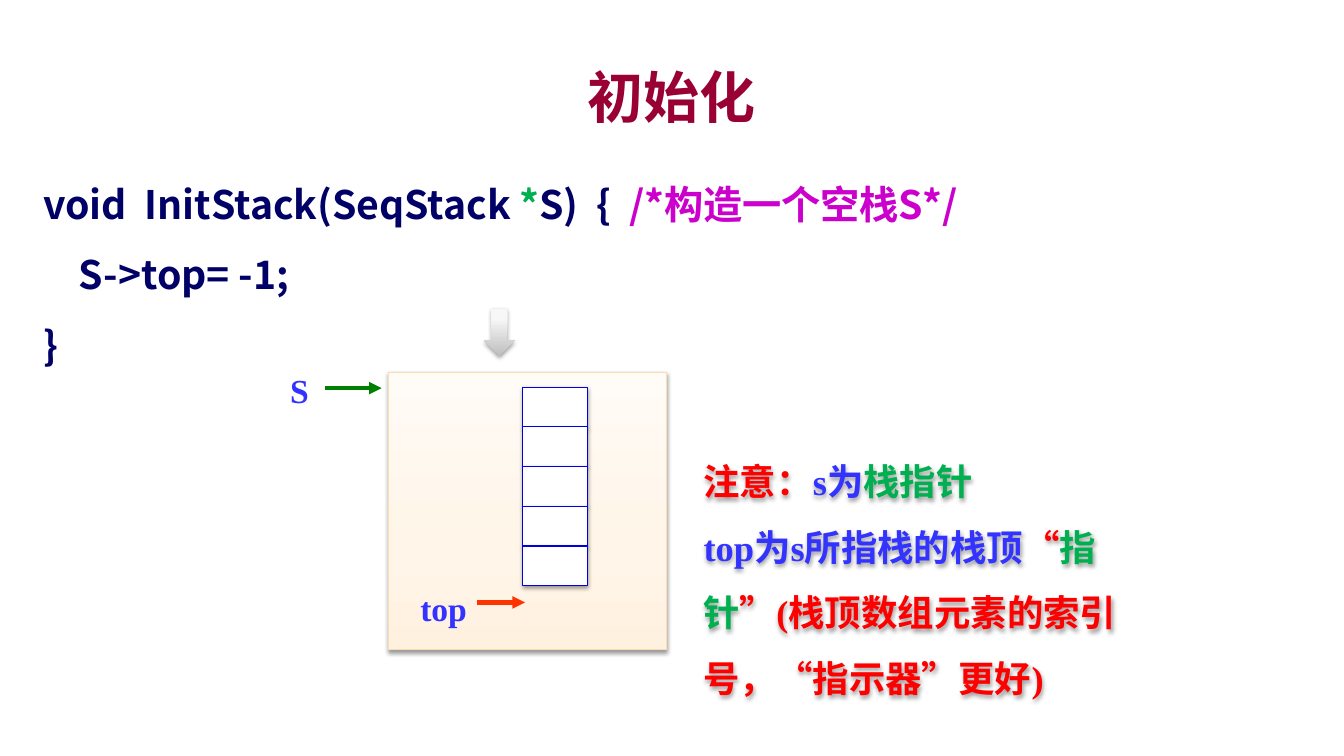
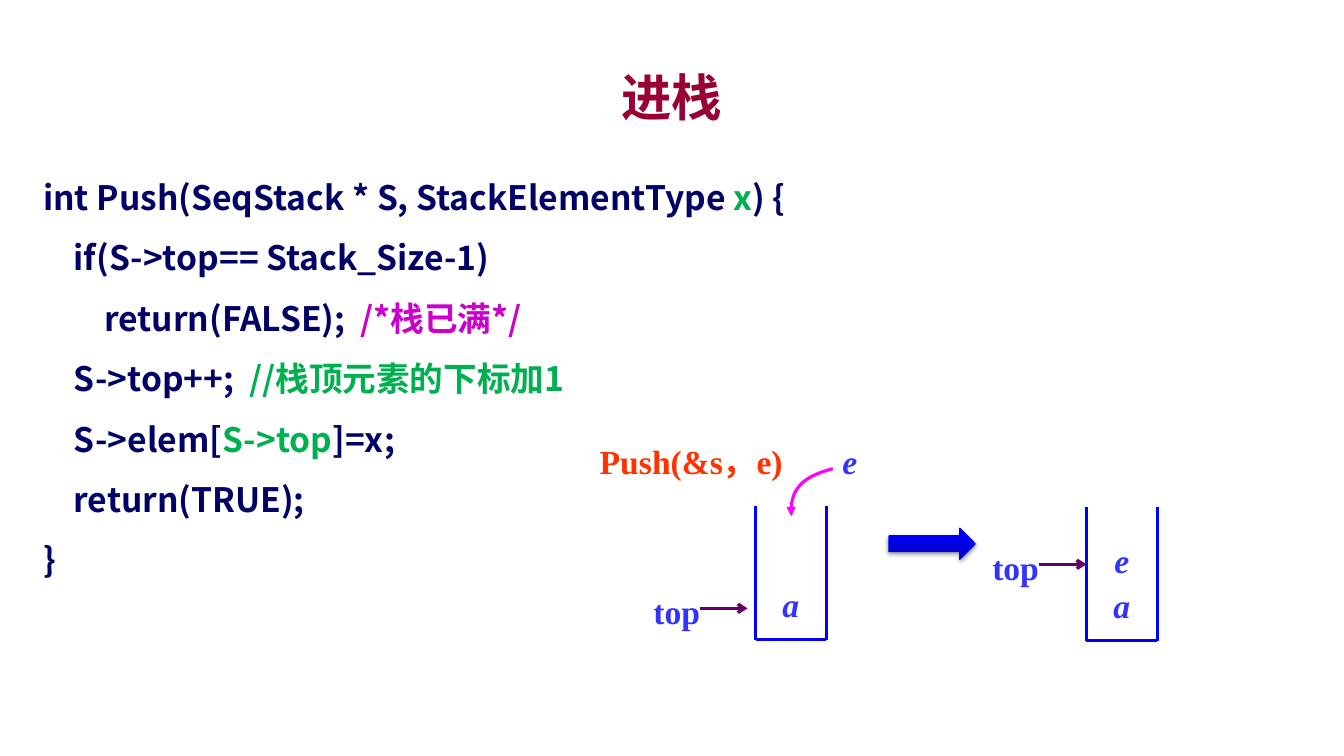
from pptx import Presentation
from pptx.dml.color import RGBColor
from pptx.enum import shapes, text
from pptx.oxml import parse_xml
from pptx.oxml.ns import nsdecls, qn
from pptx.util import Cm, Pt

COLORS = {
    "title": "990033", "code": "000066", "accent": "00B050", "comment": "CC00CC",
    "label": "3333FF", "warning": "FF0000", "call": "FF3300", "pointer": "008000",
    "cell": "FFFFFF", "cell_edge": "0000E7", "frame_edge": "FBDDB2",
    "jar": "0000FF", "index": "660066", "curve": "FF00FF", "next_edge": "0000F9",
}
GRADIENTS = {
    "frame": [(0, "FFF1DF"), (35, "FFF5E8"), (100, "FFFBF6")],
    "grey": [(0, "BEBEBE"), (80, "F7F7F7"), (100, "F8F8F8")],
    "blue": [(0, "0000BE"), (80, "0000F7"), (100, "0000F8")],
}
SANS, SERIF = "Noto Sans CJK SC", "Times New Roman"
LEFT, CENTER, JUSTIFY = (
    text.PP_ALIGN.LEFT, text.PP_ALIGN.CENTER, text.PP_ALIGN.JUSTIFY)
SHAPE = shapes.MSO_SHAPE


def color(name):
    """Return a named colour."""
    return RGBColor.from_string(COLORS[name])


def add_shadow(shape):
    """Give a shape a soft shadow below it."""
    shape.shadow.inherit = False
    shape._element.spPr.find(qn("a:effectLst")).append(parse_xml(
        f'<a:outerShdw {nsdecls("a")} blurRad="40000" dist="20000" dir="5400000" '
        'rotWithShape="0"><a:srgbClr val="000000"><a:alpha val="38000"/>'
        '</a:srgbClr></a:outerShdw>'))


def add_text(page, box, lines, size, font=SERIF, align=CENTER, spacing=1.0,
             inset=(0, 0), anchor=text.MSO_ANCHOR.TOP, italic=False):
    """Write lines, each a list of (words, colour) spans, in a box."""
    shape = page.shapes.add_textbox(*map(Cm, box))
    frame = shape.text_frame
    frame.word_wrap = True
    frame.vertical_anchor = anchor
    frame.margin_left = frame.margin_right = Cm(inset[0])
    frame.margin_top = frame.margin_bottom = Cm(inset[1])
    for number, spans in enumerate(lines):
        para = frame.add_paragraph() if number else frame.paragraphs[0]
        para.alignment = align
        para.line_spacing = spacing
        para.font.name, para.font.size = font, Pt(size)
        para.font.bold, para.font.italic = True, italic
        para._p.pPr.find(qn("a:defRPr")).append(
            parse_xml(f'<a:ea {nsdecls("a")} typeface="{SANS}"/>'))
        for words, name in spans:
            span = para.add_run()
            span.text = words
            span.font.color.rgb = color(name)
    return shape


def add_label(page, box, words, name="label", italic=False):
    """Write one centred label."""
    return add_text(page, box, [[(words, name)]], 24, italic=italic)


def style_line(shape, name, width, head=None):
    """Set colour, width and arrowhead of a line."""
    shape.line.color.rgb = color(name)
    shape.line.width = Pt(width)
    if head:
        shape._element.spPr.find(qn("a:ln")).append(
            parse_xml(f'<a:tailEnd {nsdecls("a")} type="{head}"/>'))


def add_line(page, start, end, name, width, head=None):
    """Draw a straight line, with an arrowhead if one is named."""
    line = page.shapes.add_connector(
        shapes.MSO_CONNECTOR.STRAIGHT, *map(Cm, (*start, *end)))
    style_line(line, name, width, head)
    line._element.spPr.append(parse_xml(f'<a:effectLst {nsdecls("a")}/>'))


def add_block(page, kind, box, gradient=None, edge=None):
    """Draw a shadowed shape, filled white or with a gradient."""
    shape = page.shapes.add_shape(kind, *map(Cm, box))
    if gradient:
        stops = "".join(
            f'<a:gs pos="{place * 1000}"><a:srgbClr val="{value}"/></a:gs>'
            for place, value in GRADIENTS[gradient])
        shape._element.spPr.find(qn("a:prstGeom")).addnext(parse_xml(
            f'<a:gradFill {nsdecls("a")} rotWithShape="1"><a:gsLst>{stops}</a:gsLst>'
            '<a:lin ang="16200000" scaled="0"/></a:gradFill>'))
    else:
        shape.fill.solid()
        shape.fill.fore_color.rgb = color("cell")
    if edge:
        style_line(shape, edge, 0.75)
    else:
        shape.line.fill.background()
    add_shadow(shape)


def add_page(deck, title, title_size, code, code_size):
    """Add a page with its title and code listing."""
    page = deck.slides.add_slide(deck.slide_layouts[6])
    inset = (0.25, 0.13)
    add_text(page, (2.54, 1.47, 28.78, 1.9), [[(title, "title")]], title_size, SANS,
             inset=inset, anchor=text.MSO_ANCHOR.MIDDLE)
    add_text(page, (0.84, 3.81, 32.18, 10.8), code, code_size, SANS, JUSTIFY, 1.5, inset)
    return page


def draw_stack(page, left, top, side):
    """Draw the stack record with its cells and pointers."""
    add_block(page, SHAPE.RECTANGLE, (left, top, side, side), "frame", "frame_edge")
    add_line(page, (left - 1.6, top + 0.4), (left - 0.18, top + 0.4),
             "pointer", 3, "triangle")
    add_label(page, (left - 2.75, top - 0.07, 1, 1.02), "S")
    for row in range(5):
        add_block(page, SHAPE.RECTANGLE, (left + 3.38, top + 0.38 + row, 1.62, 1),
                  edge="cell_edge")
    add_line(page, (left + 2.23, top + 5.8), (left + 3.43, top + 5.8),
             "call", 3, "triangle")
    add_label(page, (left + 0.23, top + 5.43, 2.3, 1.02), "top")
    add_block(page, SHAPE.DOWN_ARROW, (left + 2.39, top - 1.6, 0.79, 1.19), "grey")


def draw_jar(page, left, top, items, arrow_gap):
    """Draw an open stack, its items from the bottom up, and its top arrow."""
    width, height, pitch = 1.78, 3.38, 1.14
    bottom, right = top + height, left + width
    corners = [(left, top), (left, bottom), (right, bottom), (right, top)]
    for start, end in zip(corners, corners[1:]):
        add_line(page, start, end, "jar", 2.25)
    for level, item in enumerate(items):
        add_label(page, (left, bottom - 1.4 - level * pitch, width, 1.02), item,
                  italic=True)
    tip, arrow_y = left - arrow_gap, bottom - 0.79 - (len(items) - 1) * pitch
    add_line(page, (tip - 1.2, arrow_y), (tip, arrow_y), "index", 2.25, "arrow")
    add_label(page, (tip - 2.98, arrow_y - 0.45, 2.39, 1.02), "top")


def draw_curve(page, left, top, width, height):
    """Draw the curved arrow that drops from the upper right into the stack."""
    controls = [(1, 0), (0.37, 0.15), (-0.05, 0.36), (0, 1)]
    points = []
    for step in range(21):
        t = step / 20
        weights = ((1 - t) ** 3, 3 * t * (1 - t) ** 2, 3 * t * t * (1 - t), t ** 3)
        x, y = (sum(w * c[axis] for w, c in zip(weights, controls)) for axis in (0, 1))
        points.append((Cm(left + x * width), Cm(top + y * height)))
    builder = page.shapes.build_freeform(*points[0])
    builder.add_line_segments(points[1:], close=False)
    curve = builder.convert_to_shape()
    curve.fill.background()
    curve.shadow.inherit = False
    style_line(curve, "curve", 2.25, "triangle")


def draw_push(page, left, top):
    """Draw the stack before and after the push."""
    add_label(page, (left - 4.44, top - 1.62, 5.64, 1.02), "Push(&s，e)", "call")
    add_label(page, (left + 1.58, top - 1.63, 1.6, 1.02), "e", italic=True)
    draw_curve(page, left + 0.9, top - 0.93, 1.05, 1.2)
    draw_jar(page, left, top, "a", 0.2)
    add_block(page, SHAPE.RIGHT_ARROW, (left + 3.36, top + 0.57, 2.18, 0.79),
              "blue", "next_edge")
    draw_jar(page, left + 8.34, top + 0.03, "ae", 0)


def init_page(deck):
    """Build the page on initialising the stack."""
    page = add_page(deck, "初始化", 40, [
        [("void  InitStack(SeqStack ", "code"), ("*", "accent"), ("S)  {  ", "code"),
         ("/*构造一个空栈S*/", "comment")],
        [("    S->top= -1;", "code")],
        [("}", "code")],
    ], 28)
    draw_stack(page, 9.8, 9.38, 7)
    note = add_text(page, (17.48, 10.9, 14.07, 6.71), [
        [("注意：", "warning"), ("s为", "label"), ("栈指针", "accent")],
        [("top为s所指栈的栈顶", "label"), ("“", "warning"), ("指针", "accent"),
         ("”(栈顶数组元素的索引号，“指示器”更好)", "warning")],
    ], 26, align=LEFT, spacing=1.5, inset=(0.25, 0.13))
    note.width = Cm(11.6)
    add_shadow(note)


def push_page(deck):
    """Build the page on pushing an element."""
    page = add_page(deck, "进栈", 36, [
        [("int Push(SeqStack * S, StackElementType ", "code"), ("x", "accent"),
         (") {", "code")],
        [("    if(S->top== Stack_Size-1)", "code")],
        [("        return(FALSE);  ", "code"), ("/*栈已满*/", "comment")],
        [("    S->top++;  ", "code"), ("//栈顶元素的下标加1", "accent")],
        [("    S->elem[", "code"), ("S->top", "accent"), ("]=x;", "code")],
        [("    return(TRUE);", "code")],
        [("}", "code")],
    ], 24)
    draw_push(page, 19.04, 12.74)


def main():
    """Build and save the deck."""
    deck = Presentation()
    deck.slide_width, deck.slide_height = Cm(33.87), Cm(19.05)
    init_page(deck)
    push_page(deck)
    deck.save("out.pptx")


if __name__ == "__main__":
    main()
